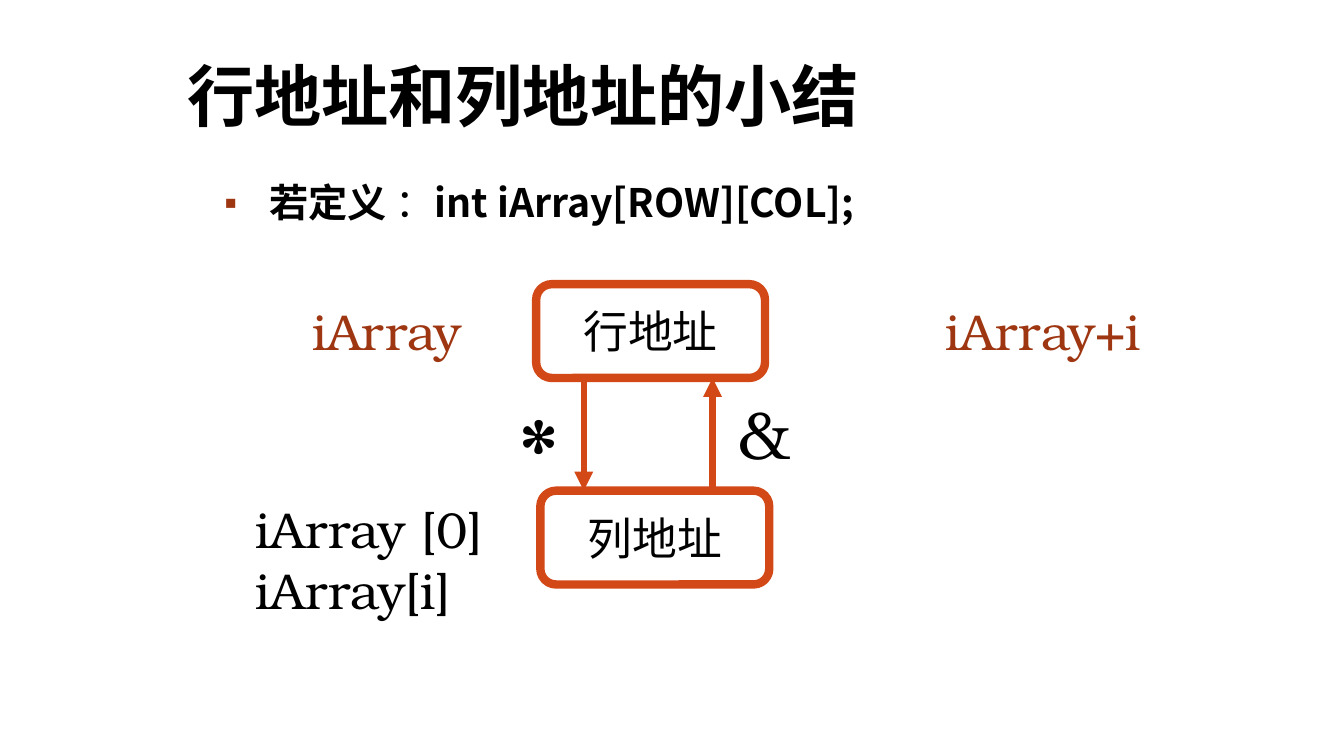
from lxml.etree import SubElement
from pptx import Presentation
from pptx.dml.color import RGBColor
from pptx.enum.shapes import MSO_CONNECTOR, MSO_SHAPE
from pptx.enum.text import MSO_ANCHOR, PP_ALIGN
from pptx.oxml.ns import qn
from pptx.util import Pt

SANS = "Noto Sans CJK SC"
SERIF = "TeX Gyre Bonum"
BLACK, WHITE, ORANGE, RUST = "000000", "FFFFFF", "D34817", "9E3611"


def color(value):
    return RGBColor.from_string(value)


def add_run(p, text, size=36, font=SERIF, fill=BLACK, bold=False):
    r = p.add_run()
    r.text = text
    r.font.size = Pt(size)
    r.font.bold = bold
    r.font.color.rgb = color(fill)
    r.font.name = font
    SubElement(r._r.get_or_add_rPr(), qn("a:ea"), typeface=SANS)


def add_text(s, box, *lines, anchor=MSO_ANCHOR.TOP, spacing=None, **style):
    sp = s.shapes.add_textbox(*map(Pt, box))
    tf = sp.text_frame
    tf.word_wrap = True
    tf.vertical_anchor = anchor
    for i, line in enumerate(lines):
        p = tf.add_paragraph() if i else tf.paragraphs[0]
        p.line_spacing = spacing
        add_run(p, line, **style)
    return sp


def add_bullet(p, char, fill, percent, indent):
    pPr = p._p.get_or_add_pPr()
    pPr.set("marL", str(Pt(indent)))
    pPr.set("indent", str(-Pt(indent)))
    buClr = SubElement(pPr, qn("a:buClr"))
    SubElement(buClr, qn("a:srgbClr"), val=fill)
    SubElement(pPr, qn("a:buSzPct"), val=str(percent * 1000))
    SubElement(pPr, qn("a:buFont"), typeface=SANS)
    SubElement(pPr, qn("a:buChar"), char=char)


def add_heading(s, left, top, width):
    add_text(s, (left, top, width, 57), "行地址和列地址的小结",
             anchor=MSO_ANCHOR.MIDDLE, spacing=0.9,
             size=48, font=SANS, bold=True)


def add_definition(s, left, top, width):
    sp = add_text(s, (left, top, width, 43), "若定义",
                  spacing=0.9, size=28, font=SANS, bold=True)
    p = sp.text_frame.paragraphs[0]
    add_run(p, " ：", size=28, font=SANS)
    add_run(p, "int iArray[ROW][COL];", size=28, font=SANS, bold=True)
    add_bullet(p, "▪", RUST, 85, 39.5)


def add_node(s, left, top, width, height, label):
    sp = s.shapes.add_shape(MSO_SHAPE.ROUNDED_RECTANGLE,
                            *map(Pt, (left, top, width, height)))
    sp.shadow.inherit = False
    sp.fill.solid()
    sp.fill.fore_color.rgb = color(WHITE)
    sp.line.color.rgb = color(ORANGE)
    sp.line.width = Pt(6)
    tf = sp.text_frame
    tf.vertical_anchor = MSO_ANCHOR.MIDDLE
    p = tf.paragraphs[0]
    p.alignment = PP_ALIGN.CENTER
    add_run(p, label, size=32)


def add_arrow(s, x, start, end):
    cxn = s.shapes.add_connector(MSO_CONNECTOR.STRAIGHT,
                                 Pt(x), Pt(start), Pt(x), Pt(end))
    cxn.line.color.rgb = color(ORANGE)
    cxn.line.width = Pt(4.5)
    SubElement(cxn.line._get_or_add_ln(), qn("a:tailEnd"), type="triangle")
    SubElement(cxn._element.spPr, qn("a:effectLst"))


def add_diagram(s, left, top):
    width, height, gap = 163.5, 67, 80.5
    upper_end = top + height
    lower_top = upper_end + gap
    add_node(s, left, top, width, height, "行地址")
    add_node(s, left + 3, lower_top, width, height, "列地址")
    add_arrow(s, left + 34, upper_end, lower_top)
    add_arrow(s, left + 126, lower_top, upper_end)
    add_text(s, (left - 20, upper_end + 6.5, 51, 87), "*", size=66)
    add_text(s, (left + 137, upper_end + 7, 51, 65.5), "&", size=48)
    add_text(s, (left - 167, top + 8, 150, 51), "iArray", fill=RUST)
    add_text(s, (left + 285.5, top + 8, 170, 51), "iArray+i", fill=RUST)
    add_text(s, (left - 207.5, lower_top + 2, 190, 95),
             "iArray [0]", "iArray[i]")


def main():
    prs = Presentation()
    prs.slide_width, prs.slide_height = Pt(960), Pt(540)
    s = prs.slides.add_slide(prs.slide_layouts[6])
    add_heading(s, 126.5, 42.5, 580)
    add_definition(s, 146, 127.5, 580)
    add_diagram(s, 383, 203)
    prs.save("out.pptx")


if __name__ == "__main__":
    main()
